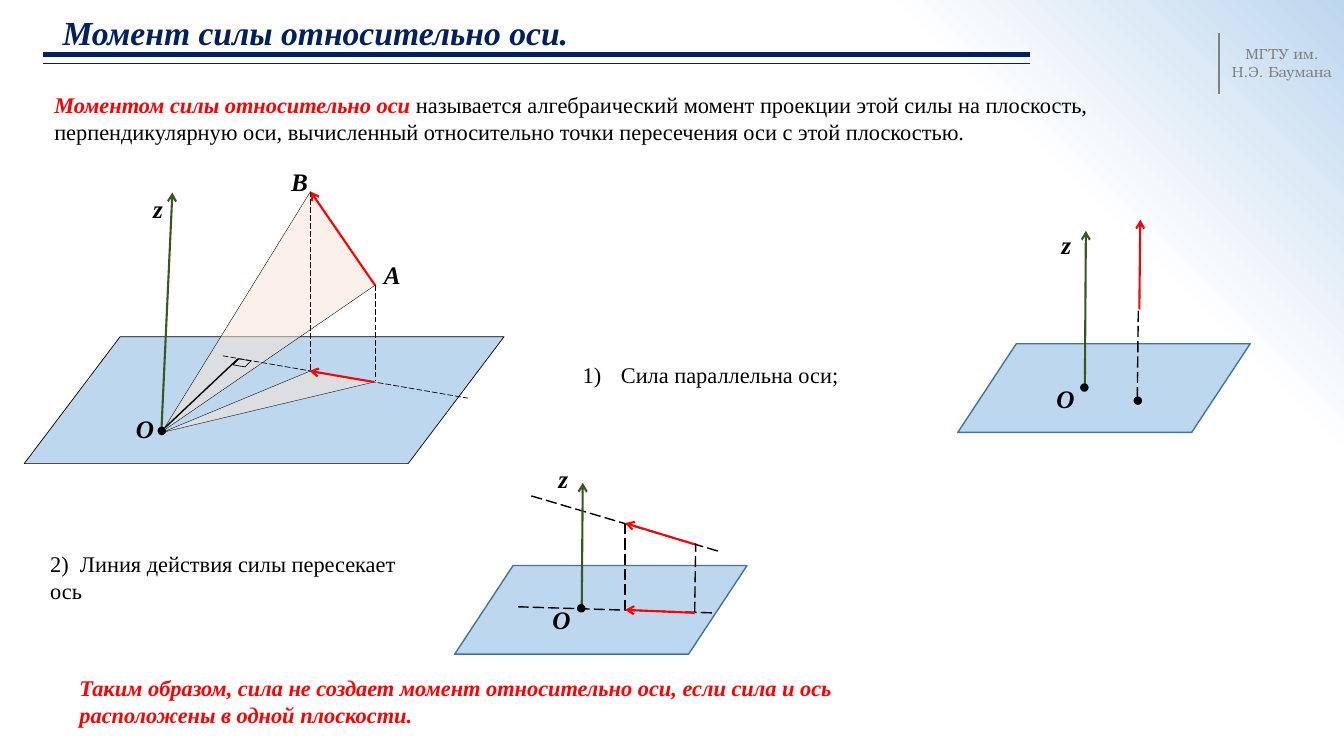
from lxml import etree
from pptx import Presentation
from pptx import util as u
from pptx.dml.color import RGBColor
from pptx.enum import dml, shapes, text
from pptx.oxml import parse_xml
from pptx.oxml.ns import nsdecls, qn

Inches = u.Inches
NAVY, RED, GREEN, BLACK, GREY = "002060", "FF0000", "385723", "000000", "808080"
BLUE, BLUE_EDGE, PEACH = "BDD7EE", "43739E", "FBE5D6"
PLAIN = {"name": "Times New Roman", "size": u.Pt(16), "bold": False, "italic": False}
STRONG = {**PLAIN, "bold": True, "italic": True}
LABEL = {**STRONG, "size": u.Pt(18)}
HEADING = {**STRONG, "size": u.Pt(24)}
CREST = {**PLAIN, "name": "TeX Gyre Bonum", "size": u.Pt(10.5)}


def paint(fill, color):
    fill.solid()
    fill.fore_color.rgb = RGBColor.from_string(color)


def write(frame, runs):
    """Fill the first paragraph with (words, font values, colour) runs."""
    frame.word_wrap = True
    paragraph = frame.paragraphs[0]
    for words, style, color in runs:
        run = paragraph.add_run()
        run.text = words
        for name, value in style.items():
            setattr(run.font, name, value)
        paint(run.font.fill, color)
    return paragraph


presentation = Presentation()
presentation.slide_width, presentation.slide_height = Inches(13.33), Inches(7.5)
slide = presentation.slides.add_slide(presentation.slide_layouts[5])

# Background glow in the upper right corner
slide.element.cSld.insert(0, parse_xml(
    f'<p:bg {nsdecls("p", "a")}><p:bgPr><a:gradFill rotWithShape="1"><a:gsLst>'
    '<a:gs pos="78000"><a:srgbClr val="FFFFFF"/></a:gs>'
    f'<a:gs pos="100000"><a:srgbClr val="{BLUE}"/></a:gs></a:gsLst>'
    '<a:path path="circle"><a:fillToRect t="100000" r="100000"/></a:path>'
    '</a:gradFill><a:effectLst/></p:bgPr></p:bg>'))

# Title
title = slide.shapes.title
title.left, title.top, title.width, title.height = map(Inches, (0.52, 0.05, 8.29, 0.58))
title.text_frame.vertical_anchor = text.MSO_ANCHOR.MIDDLE
heading = write(title.text_frame, [("Момент силы относительно оси.", HEADING, NAVY)])
heading.alignment = text.PP_ALIGN.LEFT
heading.line_spacing = 0.9

# Planes
for left, top, width, height, edge, weight in [
    (0.24, 3.34, 4.76, 1.26, BLACK, 0.5),
    (9.5, 3.41, 2.9, 0.88, BLUE_EDGE, 1),
    (4.51, 5.61, 2.9, 0.88, BLUE_EDGE, 1),
]:
    plane = slide.shapes.add_shape(shapes.MSO_SHAPE.FLOWCHART_DATA,
                                   *map(Inches, (left, top, width, height)))
    plane.shadow.inherit = False
    paint(plane.fill, BLUE)
    paint(plane.line.fill, edge)
    plane.line.width = u.Pt(weight)

# Triangles over the force and its projection, and the right-angle mark
for points, opacity, weight in [
    ([(1.61, 4.28), (3.08, 1.9), (3.72, 2.83)], 50, 0.25),
    ([(1.61, 4.29), (3.08, 3.68), (3.71, 3.79)], 51, 0.25),
    ([(2.31, 3.62), (2.37, 3.56), (2.49, 3.58), (2.43, 3.64)], 0, 0.5),
]:
    corners = [(Inches(x), Inches(y)) for x, y in points]
    builder = slide.shapes.build_freeform(*corners[0])
    builder.add_line_segments(corners[1:], close=True)
    outline = builder.convert_to_shape()
    outline.shadow.inherit = False
    paint(outline.line.fill, BLACK)
    outline.line.width = u.Pt(weight)
    if opacity:
        paint(outline.fill, PEACH)
        tint = outline.fill._xPr.find(".//" + qn("a:srgbClr"))
        etree.SubElement(tint, qn("a:alpha"), val=str(opacity * 1000))
    else:
        outline.fill.background()

# Lines: colour, weight, dashed, arrow at the end, then the end points
line_groups = [
    (NAVY, 3.5, False, False, [(0.43, 0.54, 10.22, 0.54)]),
    (NAVY, 0.75, False, False, [(0.43, 0.63, 10.22, 0.63)]),
    (GREY, 1.5, False, False, [(12.09, 0.33, 12.09, 0.93)]),
    (BLACK, 0.5, True, False, [(3.08, 1.9, 3.08, 3.67), (3.72, 2.83, 3.72, 3.78),
                               (2.21, 3.53, 4.64, 3.95)]),
    (BLACK, 1, False, False, [(1.64, 4.24, 2.36, 3.56)]),
    (BLACK, 1, True, False, [(11.28, 3.95, 11.29, 3.07), (5.27, 4.92, 7.13, 5.47),
                             (6.89, 6.08, 6.9, 5.39), (7.06, 6.08, 5.14, 6.02),
                             (6.2, 5.19, 6.2, 6.05)]),
    (GREEN, 1.5, False, True, [(1.6, 4.29, 1.71, 1.91), (10.76, 3.84, 10.77, 2.29),
                               (5.77, 6.04, 5.78, 4.79)]),
    (RED, 1.5, False, True, [(3.72, 2.83, 3.08, 1.9), (3.71, 3.79, 3.07, 3.68),
                             (11.3, 3.07, 11.31, 2.18), (6.89, 5.4, 6.2, 5.19),
                             (6.89, 6.08, 6.2, 6.05)]),
]
for color, weight, dashed, arrow, segments in line_groups:
    for segment in segments:
        connector = slide.shapes.add_connector(shapes.MSO_CONNECTOR.STRAIGHT,
                                               *map(Inches, segment))
        paint(connector.line.fill, color)
        connector.line.width = u.Pt(weight)
        if dashed:
            connector.line.dash_style = dml.MSO_LINE.LONG_DASH
        if arrow:
            etree.SubElement(connector.line._get_or_add_ln(), qn("a:tailEnd"), type="arrow")
        etree.SubElement(connector._element.spPr, qn("a:effectLst"))

# Points where the axes and the force line meet the planes
for left, top in [(1.57, 4.24), (10.72, 3.81), (11.25, 3.94), (5.73, 6)]:
    dot = slide.shapes.add_shape(shapes.MSO_SHAPE.OVAL, *map(Inches, (left, top, 0.07, 0.07)))
    dot.shadow.inherit = False
    paint(dot.fill, BLACK)
    paint(dot.line.fill, BLACK)
    dot.line.width = u.Pt(1)

# Texts and point labels
texts = [
    (12.09, 0.4, 1.25, 0.45, [("МГТУ им. Н.Э. Баумана", CREST, GREY)]),
    (0.44, 0.86, 10.48, 0.64, [
        ("Моментом силы относительно оси ", STRONG, RED),
        ("называется алгебраический момент проекции этой силы на плоскость, "
         "перпендикулярную оси, вычисленный относительно точки пересечения оси "
         "с этой плоскостью.", PLAIN, BLACK)]),
    (5.68, 3.53, 3.61, 0.37, [("Сила параллельна оси;", PLAIN, BLACK)]),
    (0.4, 5.41, 3.97, 0.64, [("2)  Линия действия силы пересекает ось", PLAIN, BLACK)]),
    (0.69, 6.64, 8.6, 0.64, [
        ("Таким образом, сила не создает момент относительно оси, если сила и ось "
         "расположены в одной плоскости.", STRONG, RED)]),
]
labels = [("A", 3.71, 2.52), ("B", 2.79, 1.6), ("O", 1.25, 4.05), ("z", 1.42, 1.87),
          ("z", 10.43, 2.23), ("O", 10.38, 3.75), ("z", 5.44, 4.55), ("O", 5.38, 5.95)]
texts += [(left, top, 0.38 if letter == "O" else 0.3, 0.4, [(letter, LABEL, BLACK)])
          for letter, left, top in labels]
paragraphs = []
for left, top, width, height, runs in texts:
    box = slide.shapes.add_textbox(*map(Inches, (left, top, width, height)))
    box.text_frame.auto_size = text.MSO_AUTO_SIZE.SHAPE_TO_FIT_TEXT
    paragraphs.append(write(box.text_frame, runs))

paragraphs[0].alignment = text.PP_ALIGN.CENTER
numbering = paragraphs[2]._p.get_or_add_pPr()
numbering.set("marL", str(Inches(0.38)))
numbering.set("indent", str(-Inches(0.38)))
etree.SubElement(numbering, qn("a:buFont"), typeface="+mj-lt")
etree.SubElement(numbering, qn("a:buAutoNum"), type="arabicParenR")

presentation.save("out.pptx")
